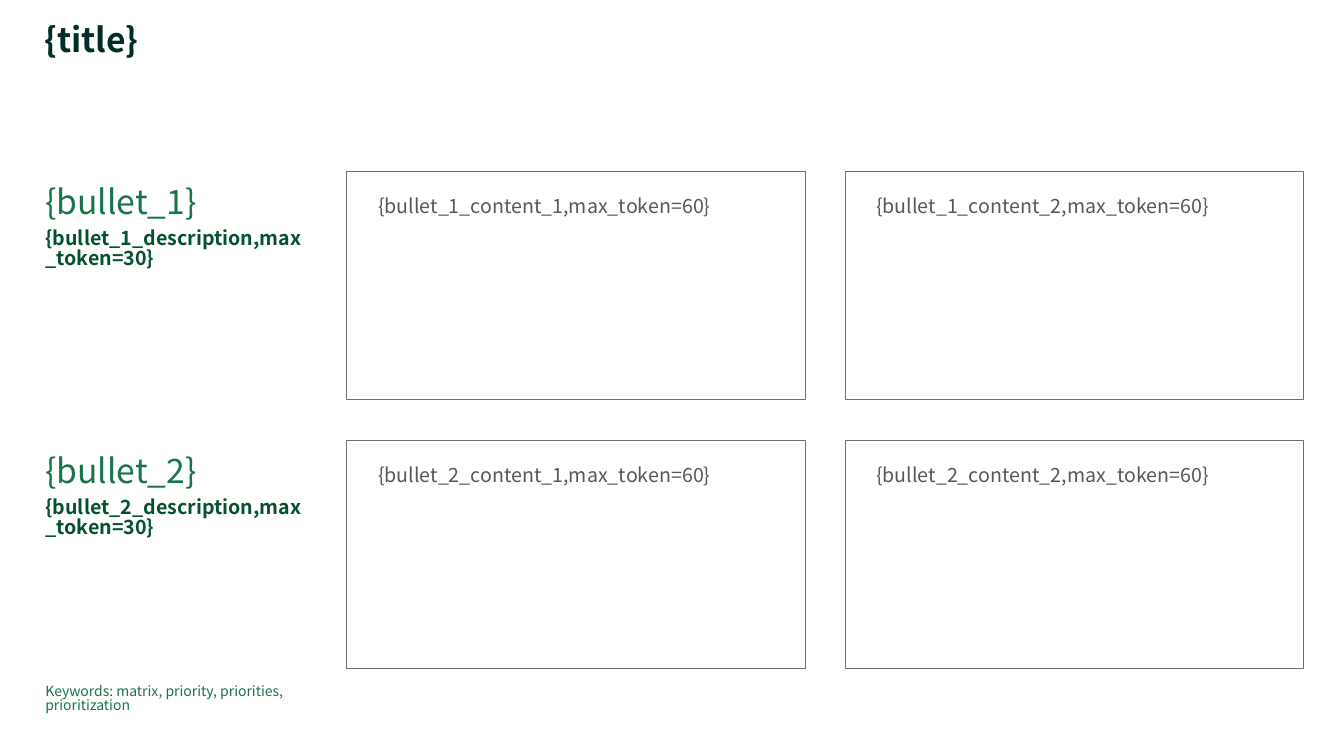
from pptx import Presentation
from pptx.dml.color import RGBColor
from pptx.enum.shapes import MSO_SHAPE
from pptx.enum.text import MSO_ANCHOR, PP_ALIGN
from pptx.util import Inches, Pt

FONT = "Noto Sans CJK JP"
INK = RGBColor(0x00, 0x2D, 0x28)
GREEN = RGBColor(0x1A, 0x74, 0x49)
DARK_GREEN = RGBColor(0x03, 0x52, 0x2D)
GREY = RGBColor(0x57, 0x57, 0x57)
BORDER = RGBColor(0x6E, 0x6F, 0x73)

LEFT, LABEL_WIDTH = 0.45, 2.61
GRID_LEFT, GRID_TOP = 3.44, 1.7
CELL_WIDTH, CELL_HEIGHT = 4.55, 2.26
COLUMN_STEP, ROW_STEP = 4.94, 2.67


def prepare_frame(shape, side=0, top=0):
    frame = shape.text_frame
    frame.word_wrap = True
    frame.vertical_anchor = MSO_ANCHOR.TOP
    frame.margin_left = frame.margin_right = Inches(side)
    frame.margin_top = frame.margin_bottom = Inches(top)
    return frame


def write(para, text, size, color, bold=False, after=0, spacing=0.84):
    para.alignment = PP_ALIGN.LEFT
    para.line_spacing = spacing
    para.space_after = Pt(after)
    span = para.add_run()
    span.text = text
    span.font.name = FONT
    span.font.size = Pt(size)
    span.font.bold = bold
    span.font.color.rgb = color


def add_line(page, box, text, **style):
    shape = page.shapes.add_textbox(*map(Inches, box))
    write(prepare_frame(shape).paragraphs[0], text, **style)


def add_label(page, box, name):
    shape = page.shapes.add_textbox(*map(Inches, box))
    frame = prepare_frame(shape, top=0.16)
    write(frame.paragraphs[0], f"{{{name}}}", 24, GREEN, after=6)
    write(frame.add_paragraph(), f"{{{name}_description,max_token=30}}", 14,
          DARK_GREEN, bold=True, after=12)


def add_cell(page, box, text):
    shape = page.shapes.add_shape(MSO_SHAPE.RECTANGLE, *map(Inches, box))
    shape.shadow.inherit = False
    shape.fill.background()
    shape.line.color.rgb = BORDER
    shape.line.width = Pt(0.5)
    write(prepare_frame(shape, side=0.31, top=0.26).paragraphs[0], text, 14, GREY)


def add_matrix_row(page, row):
    top = GRID_TOP + row * ROW_STEP
    name = f"bullet_{row + 1}"
    add_label(page, (LEFT, top, LABEL_WIDTH, CELL_HEIGHT), name)
    for column in range(2):
        left = GRID_LEFT + column * COLUMN_STEP
        add_cell(page, (left, top, CELL_WIDTH, CELL_HEIGHT),
                 f"{{{name}_content_{column + 1},max_token=60}}")


def main():
    deck = Presentation()
    deck.slide_width, deck.slide_height = Inches(13.33), Inches(7.5)
    page = deck.slides.add_slide(deck.slide_layouts[6])
    add_line(page, (0.44, 0.28, 11.03, 0.37), "{title}",
             size=24, color=INK, bold=True, spacing=0.75)
    for row in range(2):
        add_matrix_row(page, row)
    add_line(page, (LEFT, 6.8, 3.01, 0.34),
             "Keywords: matrix, priority, priorities, prioritization",
             size=10, color=GREEN)
    deck.save("out.pptx")


if __name__ == "__main__":
    main()
